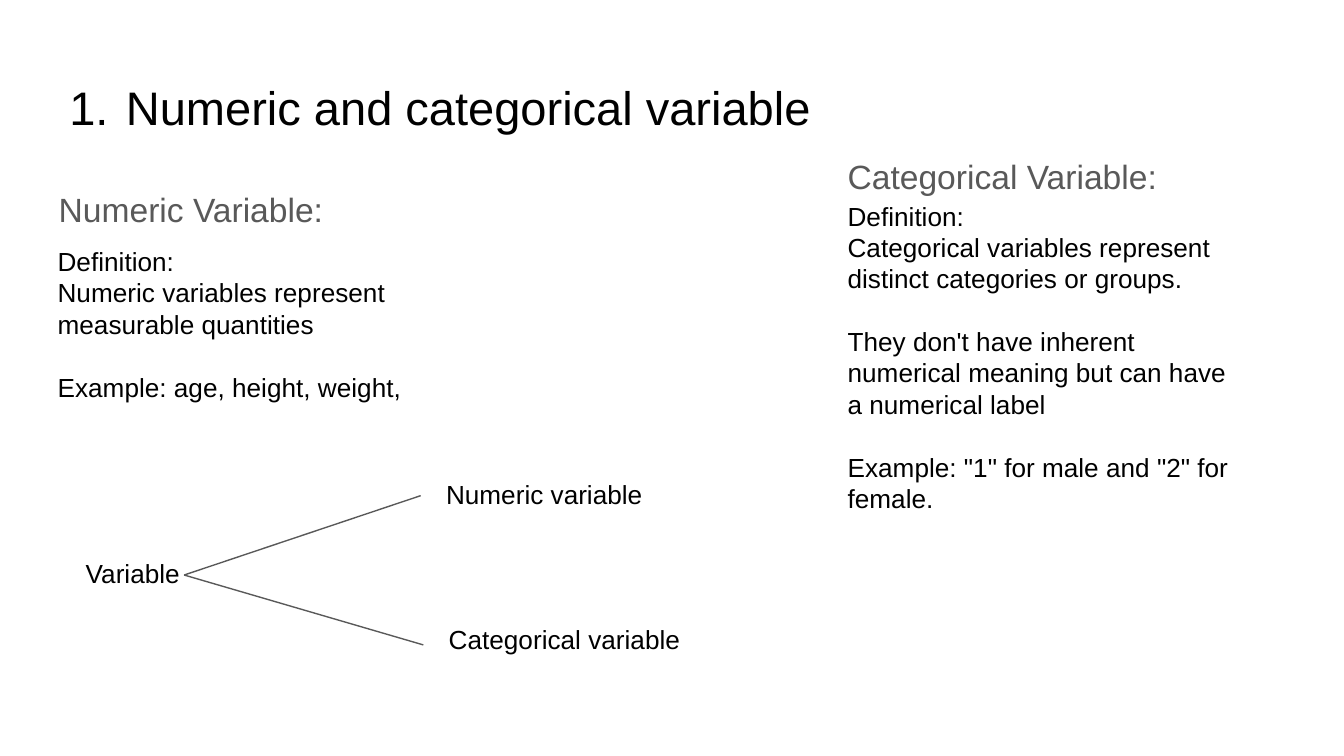
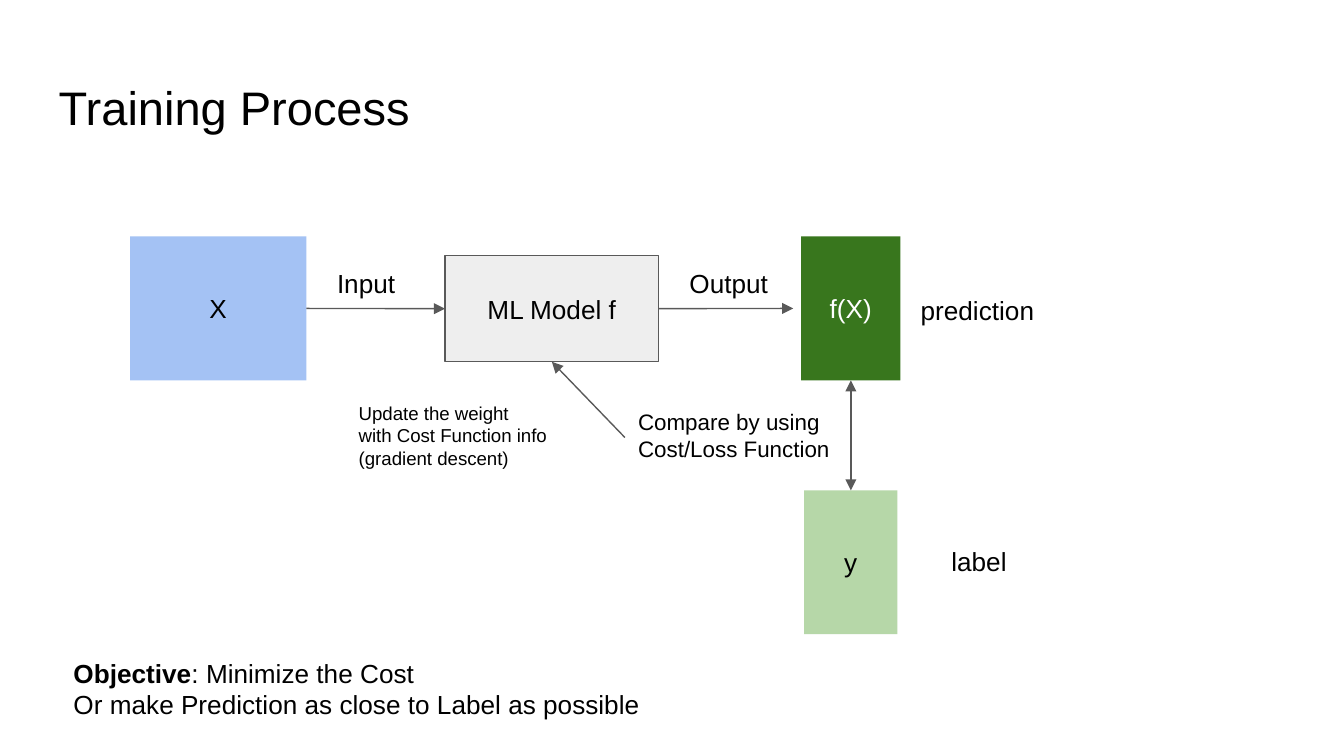
"""Builds two slides: variable types and the training process."""
from dataclasses import dataclass
from typing import Optional

from lxml.etree import SubElement
from pptx import Presentation
from pptx.dml.color import RGBColor
from pptx.enum.shapes import MSO_CONNECTOR, MSO_SHAPE
from pptx.enum.text import MSO_ANCHOR, PP_ALIGN
from pptx.oxml.ns import qn
from pptx.util import Cm, Pt


@dataclass(frozen=True)
class Theme:
    font: str = "Arial"
    black: str = "000000"
    white: str = "FFFFFF"
    grey: str = "595959"
    light: str = "EEEEEE"
    blue: str = "A4C2F4"
    green: str = "38761D"
    pale_green: str = "B6D7A8"
    title: float = 25.2
    heading: float = 18
    body: float = 14
    caption: float = 12
    note: float = 10
    block_gap: float = 16.8
    line: float = 0.75
    inset: float = 0.25


T = Theme()


@dataclass(frozen=True)
class Text:
    x: float
    y: float
    w: float
    h: float
    blocks: tuple
    size: float = T.body
    color: str = T.black
    spacing: Optional[float] = None
    lead: str = ""


@dataclass(frozen=True)
class Box:
    x: float
    y: float
    w: float
    h: float
    text: str
    fill: str
    color: str = T.black
    line: Optional[str] = None


@dataclass(frozen=True)
class Line:
    x1: float
    y1: float
    x2: float
    y2: float
    head: bool = False
    tail: bool = False


def rgb(value):
    return RGBColor.from_string(value)


def style_frame(tf):
    tf.word_wrap = True
    tf.margin_left = tf.margin_right = Cm(T.inset)
    tf.margin_top = tf.margin_bottom = Cm(T.inset)


def style_font(p, size: float, color: str):
    p.font.name = T.font
    p.font.size = Pt(size)
    p.font.color.rgb = rgb(color)


def draw_text(s, t: Text):
    sp = s.shapes.add_textbox(Cm(t.x), Cm(t.y), Cm(t.w), Cm(t.h))
    tf = sp.text_frame
    style_frame(tf)
    p = tf.paragraphs[0]
    if t.lead:
        r = p.add_run()
        r.text = t.lead
        r.font.bold = True
    for b, block in enumerate(t.blocks):
        for i, words in enumerate(block.split("\n")):
            if b or i:
                p = tf.add_paragraph()
            p.add_run().text = words
            style_font(p, t.size, t.color)
            if b and not i:
                p.space_before = Pt(T.block_gap)
            if t.spacing:
                p.line_spacing = t.spacing
    return sp


def draw_box(s, b: Box):
    sp = s.shapes.add_shape(MSO_SHAPE.RECTANGLE, Cm(b.x), Cm(b.y), Cm(b.w), Cm(b.h))
    sp.shadow.inherit = False
    sp.fill.solid()
    sp.fill.fore_color.rgb = rgb(b.fill)
    if b.line:
        sp.line.color.rgb = rgb(b.line)
        sp.line.width = Pt(T.line)
    else:
        sp.line.fill.background()
    tf = sp.text_frame
    style_frame(tf)
    tf.vertical_anchor = MSO_ANCHOR.MIDDLE
    p = tf.paragraphs[0]
    p.alignment = PP_ALIGN.CENTER
    p.add_run().text = b.text
    style_font(p, T.body, b.color)
    return sp


def draw_line(s, c: Line, begin=None, end=None):
    cn = s.shapes.add_connector(
        MSO_CONNECTOR.STRAIGHT, Cm(c.x1), Cm(c.y1), Cm(c.x2), Cm(c.y2))
    if begin:
        cn.begin_connect(*begin)
    if end:
        cn.end_connect(*end)
    cn.line.color.rgb = rgb(T.grey)
    cn.line.width = Pt(T.line)
    ln = cn.line._get_or_add_ln()
    for tag, shown in (("a:headEnd", c.head), ("a:tailEnd", c.tail)):
        if shown:
            SubElement(ln, qn(tag)).set("type", "triangle")
    SubElement(cn._element.spPr, qn("a:effectLst"))
    return cn


def add_slide(prs, title: str, numbered: bool = False):
    s = prs.slides.add_slide(prs.slide_layouts[6])
    sp = draw_text(s, Text(0.86, 1.24, 23.67, 1.6, (title,), T.title))
    if numbered:
        pPr = sp.text_frame.paragraphs[0]._p.get_or_add_pPr()
        pPr.set("marL", str(Cm(1.27)))
        pPr.set("indent", str(-Cm(1.07)))
        num = pPr.makeelement(qn("a:buAutoNum"), {"type": "arabicPeriod"})
        pPr.insert(0, num)
    return s


def build_variables(prs):
    s = add_slide(prs, "Numeric and categorical variable", numbered=True)
    for x, y, words in ((0.86, 3.2, "Numeric Variable:"),
                        (15.77, 2.59, "Categorical Variable:")):
        draw_text(s, Text(x, y, 8.59, 4.88, (words,), T.heading, T.grey, 1.15))
    for t in (
        Text(0.84, 4.39, 8.89, 3.68, (
            "Definition:\nNumeric variables represent measurable quantities",
            "Example: age, height, weight,")),
        Text(15.77, 3.53, 7.92, 5.51, (
            "Definition:\nCategorical variables represent distinct categories or groups.",
            "They don't have inherent numerical meaning but can have a numerical label",
            'Example: "1" for male and "2" for female.')),
        Text(1.37, 10.29, 4.78, 1.12, ("Variable",)),
        Text(8.18, 8.79, 4.5, 1.12, ("Numeric variable",)),
        Text(8.23, 11.53, 6.48, 0.91, ("Categorical variable",)),
    ):
        draw_text(s, t)
    for x, y in ((7.95, 9.37), (8.0, 12.19)):
        draw_line(s, Line(3.48, 10.87, x, y))


def build_training(prs):
    s = add_slide(prs, "Training Process")
    data = draw_box(s, Box(2.46, 4.47, 3.33, 2.72, "X", T.blue))
    model = draw_box(s, Box(8.41, 4.83, 4.04, 2.01, "ML Model f", T.light, line=T.grey))
    output = draw_box(s, Box(15.14, 4.47, 1.88, 2.72, "f(X)", T.green, T.white))
    label = draw_box(s, Box(15.2, 9.27, 1.76, 2.72, "y", T.pale_green))
    compare = draw_text(s, Text(
        11.81, 7.47, 4.24, 1.6, ("Compare by using\nCost/Loss Function",), T.caption))
    for t in (
        Text(6.12, 4.8, 1.75, 1.35, ("Input",)),
        Text(12.78, 4.8, 2.67, 1.35, ("Output",)),
        Text(17.15, 5.31, 2.97, 1.04, ("prediction",)),
        Text(17.73, 10.06, 2.03, 0.76, ("label",)),
        Text(6.53, 7.34, 4.11, 1.8, (
            "Update the weight\nwith Cost Function info\n(gradient descent)",), T.note),
        Text(1.14, 12.17, 12.4, 1.35, (
            ": Minimize the Cost\nOr make Prediction as close to Label as possible",),
            lead="Objective"),
    ):
        draw_text(s, t)
    draw_line(s, Line(5.79, 5.83, 8.41, 5.83, tail=True), (data, 3), (model, 1))
    draw_line(s, Line(12.45, 5.83, 14.99, 5.83, tail=True), (model, 3))
    draw_line(s, Line(16.08, 7.19, 16.08, 9.27, True, True), (output, 2), (label, 0))
    draw_line(s, Line(11.81, 8.27, 10.43, 6.84, tail=True), (compare, 1), (model, 2))


def main():
    prs = Presentation()
    prs.slide_width, prs.slide_height = Cm(25.4), Cm(14.29)
    build_variables(prs)
    build_training(prs)
    prs.save("out.pptx")


if __name__ == "__main__":
    main()
